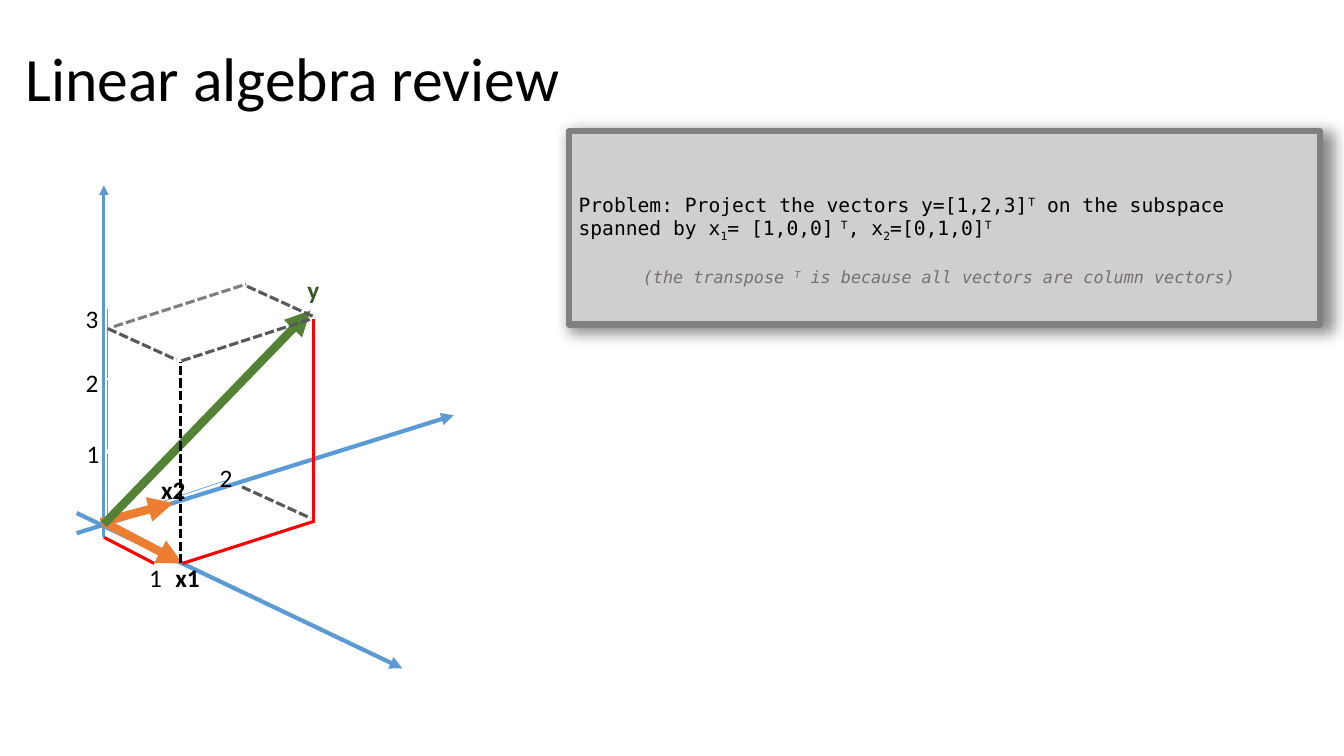
import lxml.etree
import pptx
import pptx.dml.color
import pptx.enum.dml
import pptx.enum.shapes
import pptx.enum.text
import pptx.oxml
import pptx.oxml.ns
import pptx.util

Inches = pptx.util.Inches
Pt = pptx.util.Pt
qn = pptx.oxml.ns.qn

BLACK, AXIS_BLUE, RED = "000000", "5B9BD5", "FF0000"
BASIS_ORANGE, Y_GREEN = "ED7D31", "548235"
DARK_GREY, MID_GREY = "595959", "808080"
MONO = "DejaVu Sans Mono"


def color(hex_string):
    return pptx.dml.color.RGBColor.from_string(hex_string)


def style_font(font, size, hex_string, name="Calibri", bold=False, italic=False):
    font.name, font.size = name, Pt(size)
    font.bold, font.italic = bold, italic
    font.color.rgb = color(hex_string)


def add_title(slide, text):
    title = slide.shapes.title
    title.left, title.top = Inches(0.15), Inches(0.08)
    title.width, title.height = Inches(11.5), Inches(1.45)
    frame = title.text_frame
    frame.text = text
    frame.vertical_anchor = pptx.enum.text.MSO_ANCHOR.MIDDLE
    heading = frame.paragraphs[0]
    heading.alignment = pptx.enum.text.PP_ALIGN.LEFT
    heading.line_spacing = 0.9
    style_font(heading.font, 44, BLACK)


def add_segment(slide, start, end, hex_string, width=2.25, arrow=False, dashed=False):
    points = [Inches(value) for value in (*start, *end)]
    segment = slide.shapes.add_connector(
        pptx.enum.shapes.MSO_CONNECTOR.STRAIGHT, *points)
    segment.line.color.rgb = color(hex_string)
    segment.line.width = Pt(width)
    if dashed:
        segment.line.dash_style = pptx.enum.dml.MSO_LINE.SQUARE_DOT
    if arrow:
        outline = segment.line._get_or_add_ln()
        lxml.etree.SubElement(outline, qn("a:tailEnd"), type="triangle")
    lxml.etree.SubElement(segment._element.spPr, qn("a:effectLst"))


def add_label(slide, text, left, top, hex_string=BLACK, bold=False):
    label = slide.shapes.add_textbox(
        Inches(left), Inches(top), Inches(0.49), Inches(0.4))
    label.text_frame.word_wrap = True
    label.text_frame.text = text
    style_font(label.text_frame.paragraphs[0].font, 18, hex_string, bold=bold)


def add_shadow(shape):
    effects = shape._element.spPr.find(qn("a:effectLst"))
    shadow = lxml.etree.SubElement(
        effects, qn("a:outerShdw"), blurRad=str(Pt(10.7)), dist=str(Pt(3)),
        dir="2700000", sx="101000", sy="101000", algn="tl", rotWithShape="0")
    tint = lxml.etree.SubElement(shadow, qn("a:srgbClr"), val=BLACK)
    lxml.etree.SubElement(tint, qn("a:alpha"), val="45000")


def add_scripted_runs(paragraph, pieces):
    """Each piece is a text and its baseline shift in percent."""
    for text, shift in pieces:
        run = paragraph.add_run()
        run.text = text
        if shift:
            run._r.get_or_add_rPr().set("baseline", str(shift * 1000))


def add_problem_box(slide):
    box = slide.shapes.add_shape(
        pptx.enum.shapes.MSO_SHAPE.RECTANGLE,
        Inches(5.64), Inches(1.3), Inches(7.45), Inches(1.92))
    box.fill.solid()
    box.fill.fore_color.rgb = color("D0CECE")
    box.line.color.rgb = color(MID_GREY)
    box.line.width = Pt(4.5)
    box.shadow.inherit = False
    add_shadow(box)

    frame = box.text_frame
    frame.word_wrap = True
    frame.vertical_anchor = pptx.enum.text.MSO_ANCHOR.TOP
    frame.margin_top = Inches(0.61)

    problem = frame.paragraphs[0]
    problem.alignment = pptx.enum.text.PP_ALIGN.LEFT
    style_font(problem.font, 14, BLACK, MONO)
    add_scripted_runs(problem, [("Problem: Project the vectors y=[1,2,3]", 0),
                                ("T", 30), (" on the subspace ", 0)])
    problem.add_line_break()
    add_scripted_runs(problem, [("spanned by x", 0), ("1", -25), ("= [1,0,0]", 0),
                                (" T", 30), (", x", 0), ("2", -25),
                                ("=[0,1,0]", 0), ("T", 30)])

    hint = frame.add_paragraph()
    hint.alignment = pptx.enum.text.PP_ALIGN.CENTER
    hint.space_before = Pt(17)
    style_font(hint.font, 12, "767171", MONO, italic=True)
    add_scripted_runs(hint, [("(the transpose ", 0), ("T", 30),
                             (" is because all vectors are column vectors) ", 0)])


def add_axes(slide):
    add_segment(slide, (0.76, 5.09), (3.99, 6.63), AXIS_BLUE, 3, arrow=True)
    add_segment(slide, (0.76, 5.29), (4.5, 4.12), AXIS_BLUE, 3, arrow=True)
    add_segment(slide, (1.03, 5.33), (1.53, 5.59), RED)
    add_segment(slide, (1.03, 5.33), (1.03, 1.84), AXIS_BLUE, arrow=True)
    # Unit lengths along the second and the vertical axis
    for step in range(2):
        left, top = 1.03 + 0.6 * step, 5.17 - 0.2 * step
        add_segment(slide, (left, top), (left + 0.6, top - 0.2), AXIS_BLUE, 0.5)
    for bottom in (5.18, 4.45, 3.75):
        add_segment(slide, (1.06, bottom), (1.06, bottom - 0.68), AXIS_BLUE, 0.5)
    for text, left, top in (("1", 1.38, 5.53), ("2", 2.08, 4.54),
                            ("1", 0.76, 4.3), ("2", 0.75, 3.59), ("3", 0.75, 2.96)):
        add_label(slide, text, left, top)


def add_vectors(slide):
    add_segment(slide, (1.03, 5.18), (1.81, 5.59), BASIS_ORANGE, 6, arrow=True)
    add_label(slide, "x1", 1.64, 5.53, bold=True)
    add_segment(slide, (1, 5.18), (1.72, 4.99), BASIS_ORANGE, 6, arrow=True)
    add_segment(slide, (1.03, 5.2), (3.08, 3.08), Y_GREEN, 6, arrow=True)
    add_label(slide, "y", 2.95, 2.67, "385723", bold=True)


def add_projection_box(slide):
    add_segment(slide, (1.81, 5.59), (3.12, 5.17), RED)
    add_segment(slide, (3.11, 5.17), (3.11, 3.16), RED)
    add_label(slide, "x2", 1.5, 4.66, bold=True)
    hidden_edges = [
        ((2.4, 4.83), (3.08, 5.14), DARK_GREY),
        ((1.07, 3.26), (1.75, 3.57), DARK_GREY),
        ((1.8, 3.58), (3.1, 3.16), DARK_GREY),
        ((2.45, 2.84), (3.13, 3.15), DARK_GREY),
        ((1.13, 3.24), (2.44, 2.82), MID_GREY),
        ((1.79, 5.59), (1.79, 3.59), BLACK),
    ]
    for start, end, hex_string in hidden_edges:
        add_segment(slide, start, end, hex_string, dashed=True)


def main():
    deck = pptx.Presentation()
    deck.slide_width, deck.slide_height = Inches(13.33), Inches(7.5)
    slide = deck.slides.add_slide(deck.slide_layouts[5])
    add_title(slide, "Linear algebra review")
    add_problem_box(slide)
    add_axes(slide)
    add_vectors(slide)
    add_projection_box(slide)
    deck.save("out.pptx")


if __name__ == "__main__":
    main()
